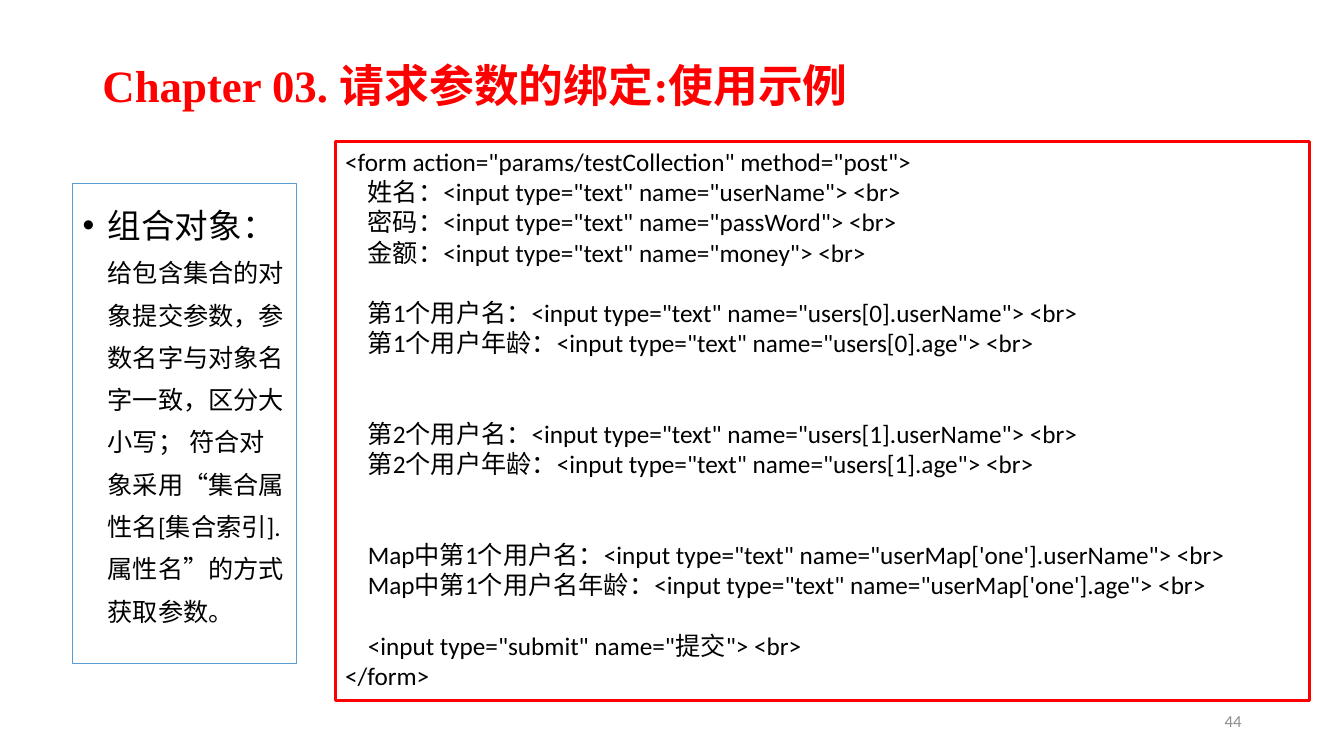
from lxml.etree import SubElement
from pptx import Presentation
from pptx.dml.color import RGBColor
from pptx.enum.shapes import MSO_SHAPE
from pptx.enum.text import MSO_ANCHOR, MSO_AUTO_SIZE, PP_ALIGN
from pptx.oxml.ns import qn
from pptx.util import Pt

COLORS = {"red": "FF0000", "blue": "5B9BD5", "black": "000000", "gray": "8C8C8C"}
CODE_LINE = 21.6
FORM_CODE = """<form action="params/testCollection" method="post">
    姓名：<input type="text" name="userName"> <br>
    密码：<input type="text" name="passWord"> <br>
    金额：<input type="text" name="money"> <br>

    第1个用户名：<input type="text" name="users[0].userName"> <br>
    第1个用户年龄：<input type="text" name="users[0].age"> <br>


    第2个用户名：<input type="text" name="users[1].userName"> <br>
    第2个用户年龄：<input type="text" name="users[1].age"> <br>


    Map中第1个用户名：<input type="text" name="userMap['one'].userName"> <br>
    Map中第1个用户名年龄：<input type="text" name="userMap['one'].age"> <br>

    <input type="submit" name="提交"> <br>
</form>"""


def color(name):
    return RGBColor.from_string(COLORS[name])


def add_text(p, text, size=18, font="Calibri", fill="black", bold=False):
    r = p.add_run()
    r.text = text
    r.font.size = Pt(size)
    r.font.name = font
    r.font.bold = bold
    r.font.color.rgb = color(fill)


def place(sp, left, top, width, height):
    sp.left, sp.top, sp.width, sp.height = map(Pt, (left, top, width, height))


def set_frame(sp, anchor=MSO_ANCHOR.TOP):
    tf = sp.text_frame
    tf.word_wrap = True
    tf.auto_size = MSO_AUTO_SIZE.NONE
    tf.vertical_anchor = anchor
    return tf


def set_outline(sp, name, width):
    sp.fill.background()
    sp.line.color.rgb = color(name)
    sp.line.width = Pt(width)


def set_bullet(p, indent):
    pPr = p._p.get_or_add_pPr()
    pPr.set("marL", str(Pt(indent)))
    pPr.set("indent", str(-Pt(indent)))
    SubElement(pPr, qn("a:buFont"), typeface="Arial")
    SubElement(pPr, qn("a:buChar"), char="•")


def fill_title(sp):
    place(sp, 66, 10.8, 828, 104.4)
    p = set_frame(sp, MSO_ANCHOR.MIDDLE).paragraphs[0]
    p.alignment = PP_ALIGN.LEFT
    p.line_spacing = 0.9
    add_text(p, "Chapter 03. 请求参数的绑定:使用示例", size=32,
             font="Times New Roman", fill="red", bold=True)


def fill_explanation(sp):
    place(sp, 51.8, 131.4, 160, 342.7)
    set_outline(sp, "blue", 0.75)
    p = set_frame(sp).paragraphs[0]
    set_bullet(p, 18)
    p.line_spacing = 1.4
    p.space_before = Pt(0)
    add_text(p, "组合对象：", size=24)
    add_text(p, "给包含集合的对象提交参数，参数名字与对象名字一致，区分大小写； "
                "符合对象采用“集合属性名[集合索引].属性名”的方式获取参数。")


def add_code(s, code):
    sp = s.shapes.add_shape(MSO_SHAPE.RECTANGLE, Pt(239.4), Pt(100.8), Pt(696), Pt(399.6))
    sp.shadow.inherit = False
    set_outline(sp, "red", 2.25)
    tf = set_frame(sp)
    p, gap = tf.paragraphs[0], 0
    for i, line in enumerate(code.splitlines()):
        if not line:
            gap += CODE_LINE
            continue
        if i:
            p = tf.add_paragraph()
        p.alignment = PP_ALIGN.LEFT
        p.space_before = Pt(gap)
        add_text(p, line)
        gap = 0


def add_page_number(s, number):
    sp = s.shapes.add_textbox(Pt(678), Pt(500.4), Pt(216), Pt(28.8))
    p = set_frame(sp, MSO_ANCHOR.MIDDLE).paragraphs[0]
    p.alignment = PP_ALIGN.RIGHT
    add_text(p, number, size=12, fill="gray")


def main():
    prs = Presentation()
    prs.slide_width, prs.slide_height = Pt(960), Pt(540)
    s = prs.slides.add_slide(prs.slide_layouts[1])
    fill_title(s.shapes.title)
    fill_explanation(s.placeholders[1])
    add_code(s, FORM_CODE)
    add_page_number(s, "44")
    prs.save("out.pptx")


if __name__ == "__main__":
    main()
